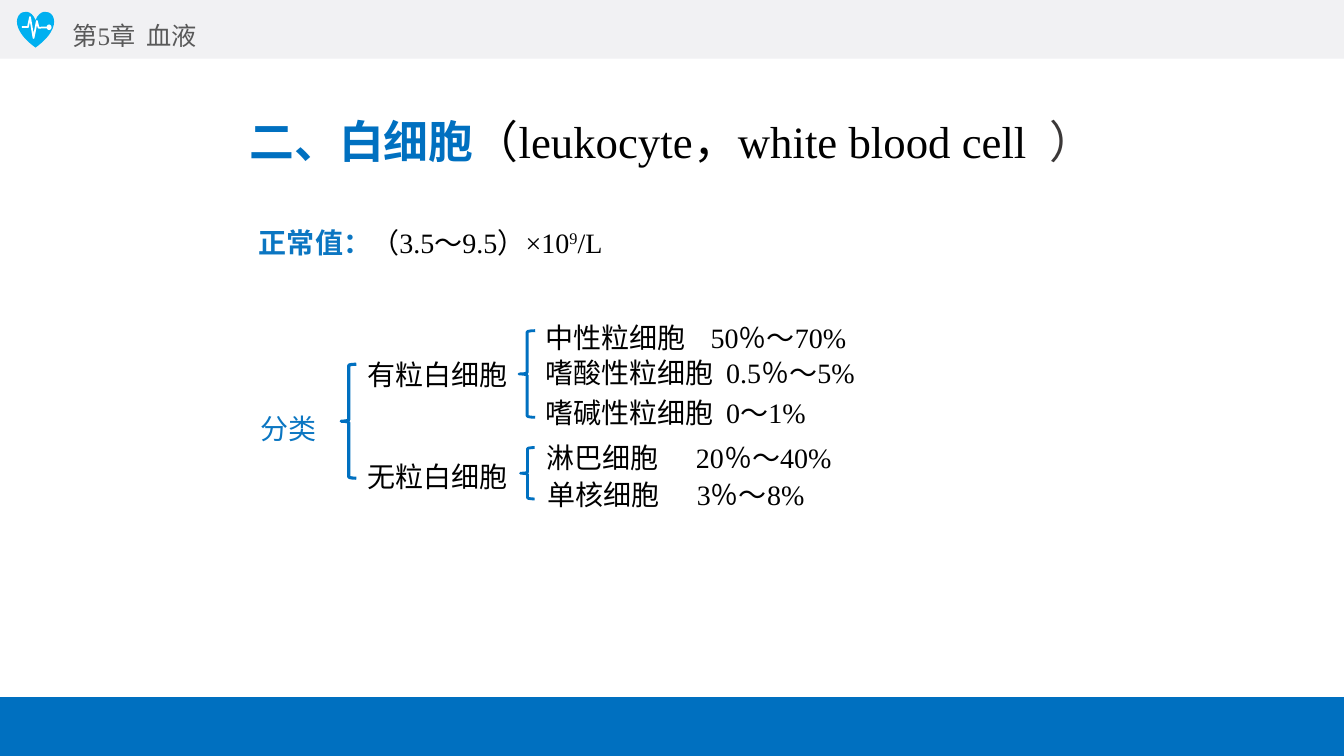
from dataclasses import dataclass

from lxml.etree import SubElement
from pptx import Presentation
from pptx.dml.color import RGBColor
from pptx.enum.shapes import MSO_SHAPE as Kind
from pptx.enum.text import MSO_ANCHOR as Anchor, MSO_AUTO_SIZE as Fit, PP_ALIGN as Align
from pptx.oxml.ns import qn
from pptx.util import Pt

SANS = "Noto Sans CJK SC"
SERIF = "Times New Roman"
BLUE, TEAL, SKY = "0070C0", "0B76C2", "00B0F0"
BLACK, GREY, DARK, PALE, WHITE = "000000", "595959", "3B3838", "F1F1F3", "FFFFFF"


@dataclass
class Run:
    text: str
    face: str = SANS
    tint: str = BLACK
    bold: bool = False
    raised: int = 0
    track: float = 0


@dataclass
class Cell:
    name: str
    share: str
    left: float
    top: float
    gap: float


@dataclass
class Brace:
    left: float
    top: float
    wide: float
    high: float
    line: float


@dataclass
class Label:
    runs: list[Run]
    left: float
    top: float
    wide: float
    size: float = 20


TITLE = [
    Run("二、白细胞", SERIF, BLUE, True),
    Run("（"),
    Run("leukocyte", SERIF),
    Run("，"),
    Run("white blood cell", SERIF),
    Run(" ", SERIF, track=8),
    Run("）", tint=DARK),
]
NORMAL = [
    Run("正常值：", tint=TEAL, bold=True),
    Run("（3.5～9.5）×10", SERIF),
    Run("9", SERIF, raised=30),
    Run("/L", SERIF),
]
LABELS = [
    Label([Run("第5章", SERIF, GREY), Run(" ", SERIF, GREY, track=4),
           Run("血液", SERIF, GREY)], 44.6, 0, 190, 18),
    Label([Run("分类", tint=TEAL)], 179, 278.6, 70),
    Label([Run("有粒白细胞")], 255.3, 239.8, 138),
    Label([Run("无粒白细胞")], 255.3, 312.5, 138),
]
CELLS = [
    Cell("中性粒细胞", "50％～70%", 382.4, 213.1, 13.4),
    Cell("嗜酸性粒细胞", "0.5％～5%", 382.4, 238.3, 4.5),
    Cell("嗜碱性粒细胞", "0～1%", 382.4, 267.1, 4.5),
    Cell("淋巴细胞", "20％～40%", 383, 298.8, 22.4),
    Cell("单核细胞", "3％～8%", 383.7, 325.4, 22.4),
]
BRACES = [
    Brace(243.7, 260.2, 10.8, 81.4, 2.25),
    Brace(370.8, 236.2, 11.5, 61.9, 2),
    Brace(371.8, 319.7, 10.1, 36.7, 2),
]
PULSE = [(15.6, 19.4), (20, 19.4), (21.5, 12.2), (24, 27.2),
         (26.4, 15), (27.6, 19.8), (35, 19.6)]


def hue(code: str) -> RGBColor:
    return RGBColor.from_string(code)


def place(shape, left: float, top: float, wide: float, high: float) -> None:
    shape.left, shape.top = Pt(left), Pt(top)
    shape.width, shape.height = Pt(wide), Pt(high)


def write(shape, runs: list[Run], size: float, align=Align.LEFT) -> None:
    frame = shape.text_frame
    frame.word_wrap = True
    frame.auto_size = Fit.NONE
    frame.vertical_anchor = Anchor.TOP
    para = frame.paragraphs[0]
    props = para._p.get_or_add_pPr()
    props.set("marL", "0")
    props.set("indent", "0")
    para.alignment = align
    para.line_spacing = 1.5
    para.space_before = Pt(0)
    SubElement(props, qn("a:buNone"))
    for item in runs:
        run = para.add_run()
        run.text = item.text
        font = run.font
        font.name, font.size, font.bold = item.face, Pt(size), item.bold
        font.color.rgb = hue(item.tint)
        look = font._element
        SubElement(look, qn("a:ea"), typeface=SANS)
        if item.raised:
            look.set("baseline", str(item.raised * 1000))
        if item.track:
            look.set("spc", str(round(item.track * 100)))


def label(slide, item: Label) -> None:
    box = slide.shapes.add_textbox(Pt(item.left), Pt(item.top), Pt(item.wide), Pt(38.6))
    write(box, item.runs, item.size)


def block(slide, kind: Kind, left: float, top: float, wide: float, high: float, tint: str) -> None:
    shape = slide.shapes.add_shape(kind, Pt(left), Pt(top), Pt(wide), Pt(high))
    shape.shadow.inherit = False
    shape.fill.solid()
    shape.fill.fore_color.rgb = hue(tint)
    shape.line.fill.background()


def stroke(shape, tint: str, line: float) -> None:
    shape.shadow.inherit = False
    shape.fill.background()
    shape.line.color.rgb = hue(tint)
    shape.line.width = Pt(line)


def heart(slide) -> None:
    block(slide, Kind.HEART, 12.2, 8, 26.4, 26, SKY)
    points = [(Pt(x), Pt(y)) for x, y in PULSE]
    form = slide.shapes.build_freeform(*points[0])
    form.add_line_segments(points[1:], close=False)
    stroke(form.convert_to_shape(), WHITE, 1.25)
    block(slide, Kind.OVAL, 33.3, 17.5, 3.5, 4, WHITE)


def main() -> None:
    deck = Presentation()
    deck.slide_width, deck.slide_height = Pt(960), Pt(540)
    slide = deck.slides.add_slide(deck.slide_layouts[1])
    title, body = slide.placeholders
    place(title, 70.6, 58.3, 818.6, 58.3)
    write(title, TITLE, 32, Align.CENTER)
    place(body, 177.8, 145.4, 480, 38.9)
    write(body, NORMAL, 20)

    block(slide, Kind.RECTANGLE, 0, 498, 960, 42, BLUE)
    block(slide, Kind.RECTANGLE, 0, 0, 960, 42, PALE)
    heart(slide)
    for item in LABELS:
        label(slide, item)
    for cell in CELLS:
        runs = [Run(cell.name), Run(" ", track=cell.gap), Run(cell.share, SERIF)]
        label(slide, Label(runs, cell.left, cell.top, 290))
    for item in BRACES:
        brace = slide.shapes.add_shape(
            Kind.LEFT_BRACE, Pt(item.left), Pt(item.top), Pt(item.wide), Pt(item.high))
        stroke(brace, BLUE, item.line)
    deck.save("out.pptx")


if __name__ == "__main__":
    main()
